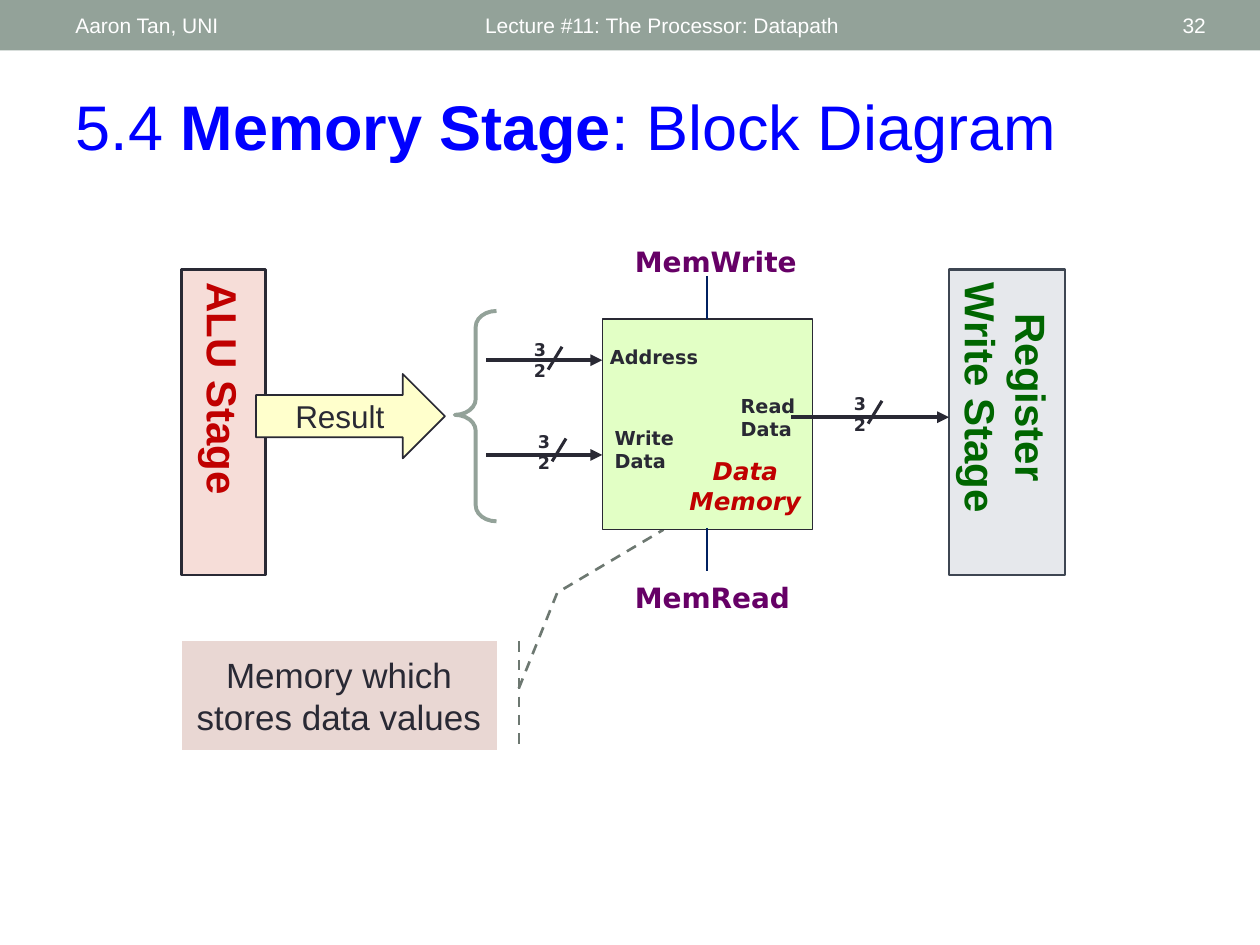
from lxml import etree
from pptx import Presentation
from pptx.dml.color import RGBColor
from pptx.enum.dml import MSO_LINE
from pptx.enum.shapes import MSO_CONNECTOR, MSO_SHAPE
from pptx.enum.text import MSO_ANCHOR, MSO_AUTO_SIZE, PP_ALIGN
from pptx.oxml.ns import qn
from pptx.util import Cm, Pt

LEFT, CENTER, RIGHT = PP_ALIGN.LEFT, PP_ALIGN.CENTER, PP_ALIGN.RIGHT
TOP, MIDDLE = MSO_ANCHOR.TOP, MSO_ANCHOR.MIDDLE
RECT = MSO_SHAPE.RECTANGLE
BODY_FONT, DIAGRAM_FONT = "Arial", "DejaVu Sans"
COLORS = {
    "white": "FFFFFF", "sage": "93A299", "title": "0000FF", "ink": "292934",
    "red": "C00000", "green": "006600", "purple": "660066", "navy": "002060",
    "alu": "F6DDD8", "result": "FFFFCC", "register": "E6E8EC", "slate": "3E4652",
    "memory": "E2FFC5", "callout": "E9D7D3", "dash": "6D7871",
}
RGB = {name: RGBColor.from_string(value) for name, value in COLORS.items()}

prs = Presentation()
prs.slide_width, prs.slide_height = Cm(25.4), Cm(19.05)
slide = prs.slides.add_slide(prs.slide_layouts[5])
shapes = slide.shapes


def write(shape, text, size, color, font=BODY_FONT, align=LEFT, anchor=TOP,
          bold=False, italic=False, wrap=True):
    frame = shape.text_frame
    frame.text = text
    frame.word_wrap = wrap
    frame.auto_size = MSO_AUTO_SIZE.NONE
    frame.vertical_anchor = anchor
    for paragraph in frame.paragraphs:
        paragraph.alignment = align
        for run in paragraph.runs:
            run.font.name, run.font.size = font, Pt(size)
            run.font.bold, run.font.italic = bold, italic
            run.font.color.rgb = RGB[color]


def draw_line(x1, y1, x2, y2, color, width, arrow=False):
    line = shapes.add_connector(MSO_CONNECTOR.STRAIGHT, Cm(x1), Cm(y1), Cm(x2), Cm(y2))
    line.line.color.rgb = RGB[color]
    line.line.width = Pt(width)
    if arrow:
        etree.SubElement(line.line._get_or_add_ln(), qn("a:tailEnd"), type="triangle")
    etree.SubElement(line._element.spPr, qn("a:effectLst"))


# Header bar
bar = shapes.add_shape(RECT, 0, 0, prs.slide_width, Cm(1.02))
bar.shadow.inherit = False
bar.fill.solid()
bar.fill.fore_color.rgb = RGB["sage"]
bar.line.fill.background()

for left, width, text, align in [
    (9.53, 11.43, "Lecture #11: The Processor: Datapath", LEFT),
    (1.27, 8.05, "Aaron Tan, UNI", LEFT),
    (22.15, 2.41, "32", RIGHT),
]:
    header = shapes.add_textbox(Cm(left), Cm(0.05), Cm(width), Cm(0.91))
    write(header, text, 12, "white", align=align, anchor=MIDDLE)

# Title
title = shapes.title
title.left, title.top, title.width, title.height = Cm(1.27), Cm(1.63), Cm(23.29), Cm(1.8)
write(title, "5.4 ", 36, "title")
for text, bold in [("Memory Stage", True), (": Block Diagram", False)]:
    run = title.text_frame.paragraphs[0].add_run()
    run.text = text
    run.font.name, run.font.size, run.font.bold = BODY_FONT, Pt(36), bold
    run.font.color.rgb = RGB["title"]

# Blocks: preset, place, fill, line, line width, adjustments, text, size, text colour
blocks = [
    (MSO_SHAPE.LINE_CALLOUT_2_ACCENT_BAR, (3.66, 12.93, 6.35, 2.18), "callout", "dash", 1.5,
     (0.434, 1.071, -0.451, 1.193, -1.033, 1.53), "Memory which stores data values", 20, "ink"),
    (RECT, (3.66, 5.44, 1.7, 6.15), "alu", "ink", 1.5, (), "ALU Stage", 24, "red"),
    (MSO_SHAPE.RIGHT_ARROW, (5.16, 7.54, 3.81, 1.7), "result", "ink", 1, (), "Result", 18, "ink"),
    (RECT, (19.13, 5.44, 2.34, 6.15), "register", "slate", 1.5, (),
     "Register Write Stage", 24, "green"),
    (MSO_SHAPE.LEFT_BRACE, (9.17, 6.27, 0.84, 4.24), None, "sage", 2.25, (0.383, 0.494),
     "", 18, "ink"),
    (RECT, (12.14, 6.43, 4.24, 4.24), "memory", "ink", 0.75, (), "", 18, "ink"),
]
for preset, place, fill, outline, weight, adjustments, text, size, color in blocks:
    block = shapes.add_shape(preset, *map(Cm, place))
    block.shadow.inherit = False
    if fill:
        block.fill.solid()
        block.fill.fore_color.rgb = RGB[fill]
    else:
        block.fill.background()
    block.line.color.rgb = RGB[outline]
    block.line.width = Pt(weight)
    for index, value in enumerate(adjustments):
        block.adjustments[index] = value
    if outline == "dash":
        block.line.dash_style = MSO_LINE.DASH
    is_stage = text.endswith("Stage")
    if text:
        write(block, text, size, color, align=CENTER, anchor=MIDDLE, bold=is_stage)
    if is_stage:
        block.text_frame._txBody.bodyPr.set("vert", "eaVert")

# Data buses and control signals
for x1, x2, y in [(9.8, 12.14, 7.26), (9.8, 12.14, 9.17), (15.95, 19.13, 8.41)]:
    draw_line(x1, y, x2, y, "ink", 2.25, arrow=True)
for y in (5.56, 10.64):
    draw_line(14.25, y, 14.25, y + 0.87, "navy", 1.5)

# Bus widths, each with its slash
for left, top in [(10.44, 6.71), (10.52, 8.56), (16.89, 7.8)]:
    bus_width = shapes.add_textbox(Cm(left), Cm(top), Cm(0.89), Cm(0.69))
    write(bus_width, "32", 10, "ink", DIAGRAM_FONT, CENTER, bold=True)
    draw_line(left + 0.89, top + 0.28, left + 0.61, top + 0.74, "ink", 1.75)

# Port, signal and memory names
for place, text, size, color, align in [
    ((13.64, 9.07, 2.77, 1.45), "Data\nMemory", 14, "red", CENTER),
    ((12.04, 6.83, 2.29, 0.74), "Address", 11, "ink", CENTER),
    ((14.68, 7.82, 1.75, 1.19), "Read\nData", 11, "ink", LEFT),
    ((12.14, 8.46, 1.85, 1.19), "Write\nData", 11, "ink", LEFT),
    ((12.55, 11.58, 3.63, 0.94), "MemRead", 16, "purple", LEFT),
    ((12.55, 4.8, 3.78, 0.94), "MemWrite", 16, "purple", LEFT),
]:
    label = shapes.add_textbox(*map(Cm, place))
    write(label, text, size, color, DIAGRAM_FONT, align, bold=True,
          italic=color == "red", wrap=False)

prs.save("out.pptx")
